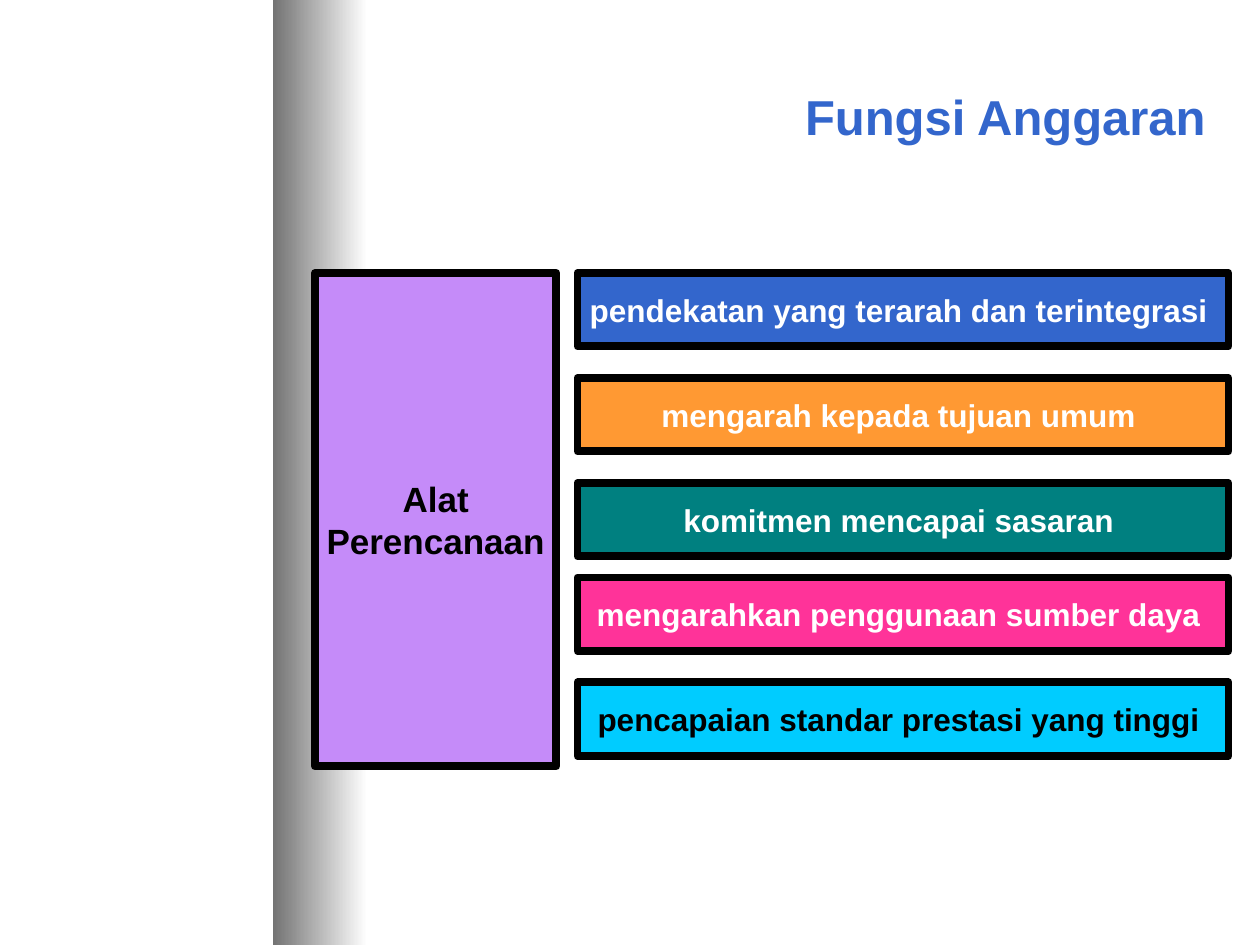
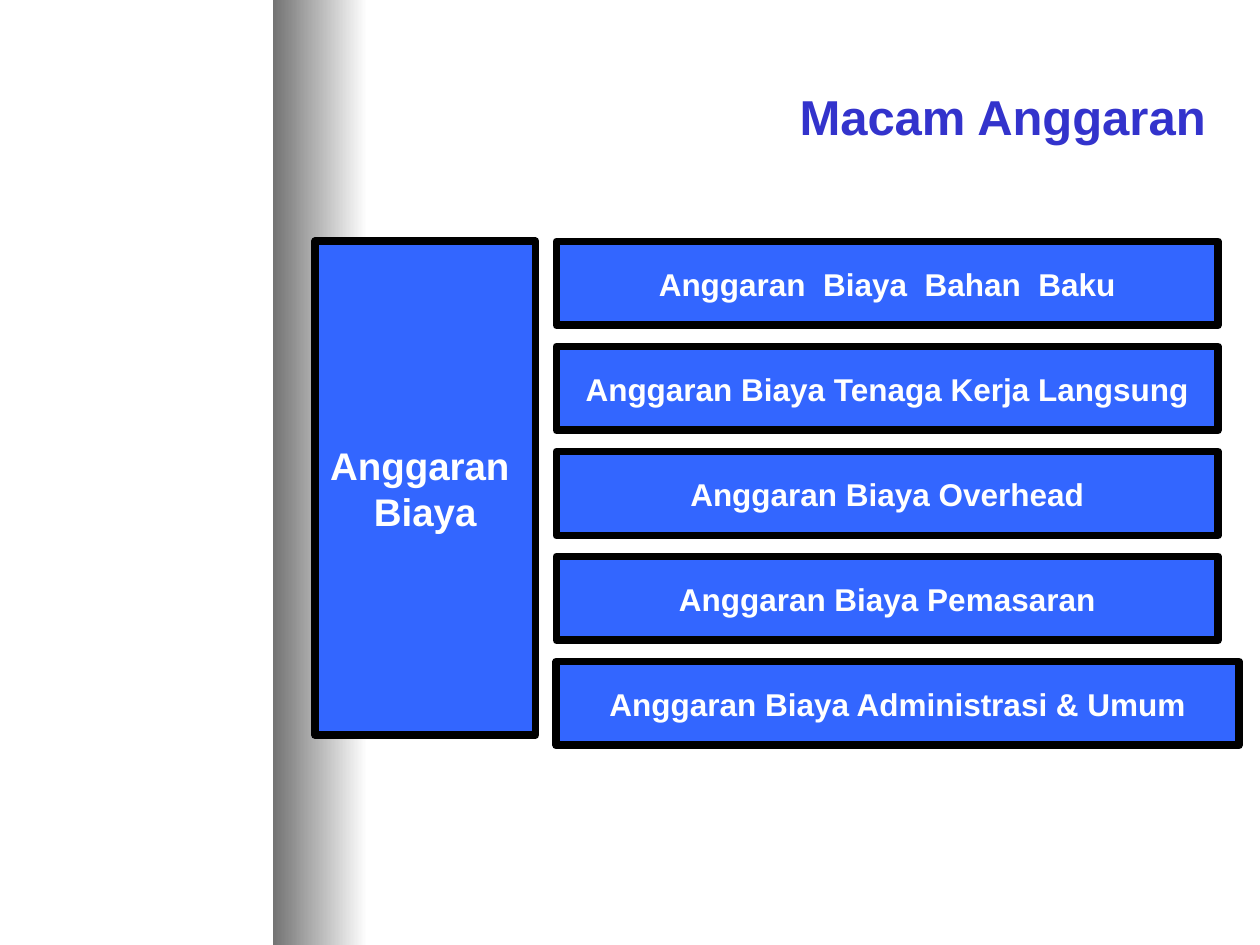
from dataclasses import dataclass

from pptx import Presentation
from pptx.dml.color import RGBColor
from pptx.enum.shapes import MSO_SHAPE
from pptx.enum.text import MSO_ANCHOR, PP_ALIGN
from pptx.util import Inches, Pt

RECTANGLE = MSO_SHAPE.RECTANGLE
MIDDLE = MSO_ANCHOR.MIDDLE
CENTER, RIGHT = PP_ALIGN.CENTER, PP_ALIGN.RIGHT
COLUMNS, ROWS = 120, 90


@dataclass(frozen=True)
class Theme:
    """Colours and type sizes shared by the slides."""
    font: str = "Arial"
    title_size: int = 28
    kind_size: int = 22
    tool_size: int = 20
    item_size: int = 18
    border_width: float = 4.5
    black: str = "000000"
    white: str = "FFFFFF"
    band_dark: str = "737373"
    blue: str = "3366CC"
    indigo: str = "3333CC"
    orange: str = "FF9933"
    teal: str = "008080"
    pink: str = "FF3399"
    cyan: str = "00CCFF"
    lilac: str = "C58BF9"
    bright_blue: str = "3366FF"


class Deck:
    """Draws styled elements on the current slide, on a grid of columns and rows."""

    def __init__(self, theme):
        self.theme = theme
        self.presentation = Presentation()
        self.presentation.slide_width = Inches(10)
        self.presentation.slide_height = Inches(7.5)
        self.slide = None

    def place(self, column, row, columns, rows):
        """Turn grid units into slide lengths."""
        across = self.presentation.slide_width / COLUMNS
        down = self.presentation.slide_height / ROWS
        return [round(n) for n in (column * across, row * down, columns * across, rows * down)]

    def set_lines(self, frame, lines, size, color, align, wrap):
        """Fill a text frame with one paragraph per line."""
        frame.word_wrap = wrap
        frame.vertical_anchor = MIDDLE
        for index, line in enumerate(lines):
            paragraph = frame.add_paragraph() if index else frame.paragraphs[0]
            paragraph.alignment = align
            run = paragraph.add_run()
            run.text = line
            run.font.name = self.theme.font
            run.font.size = Pt(size)
            run.font.bold = True
            run.font.color.rgb = RGBColor.from_string(color)

    def rectangle(self, cell):
        """Add a rectangle without a shadow."""
        shape = self.slide.shapes.add_shape(RECTANGLE, *self.place(*cell))
        shape.shadow.inherit = False
        return shape

    def band(self):
        """Add the vertical band that fades to white."""
        band = self.rectangle((26, 0, 9, ROWS))
        band.line.fill.background()
        band.fill.gradient()
        band.fill.gradient_angle = 0
        for stop, color in zip(band.fill.gradient_stops, (self.theme.band_dark, self.theme.white)):
            stop.color.rgb = RGBColor.from_string(color)

    def start(self, title, color):
        """Begin a slide with its band and title."""
        self.slide = self.presentation.slides.add_slide(self.presentation.slide_layouts[6])
        self.band()
        heading = self.slide.shapes.add_textbox(*self.place(32, 3, 84, 16))
        self.set_lines(heading.text_frame, [title], self.theme.title_size, color, RIGHT, True)

    def box(self, cell, lines, fill, color, size):
        """Add a bordered box with centred text."""
        box = self.rectangle(cell)
        box.fill.solid()
        box.fill.fore_color.rgb = RGBColor.from_string(fill)
        box.line.color.rgb = RGBColor.from_string(self.theme.black)
        box.line.width = Pt(self.theme.border_width)
        self.set_lines(box.text_frame, lines, size, color, CENTER, False)


def budget_functions(deck):
    """Build the slide on what a budget is for."""
    theme = deck.theme
    deck.start("Fungsi Anggaran", theme.blue)
    functions = [
        (26, "pendekatan yang terarah dan terintegrasi ", theme.blue, theme.white),
        (36, "mengarah kepada tujuan umum ", theme.orange, theme.white),
        (46, "komitmen mencapai sasaran ", theme.teal, theme.white),
        (55, "mengarahkan penggunaan sumber daya ", theme.pink, theme.white),
        (65, "pencapaian standar prestasi yang tinggi ", theme.cyan, theme.black),
    ]
    for row, function, fill, color in functions:
        deck.box((55, row, 62, 7), [function], fill, color, theme.item_size)
    planning_tool = ["Alat", "Perencanaan"]
    deck.box((30, 26, 23, 47), planning_tool, theme.lilac, theme.black, theme.tool_size)


def budget_kinds(deck):
    """Build the slide on the kinds of cost budget."""
    theme = deck.theme
    deck.start("Macam Anggaran", theme.indigo)
    cost_budget = ["Anggaran ", "Biaya"]
    deck.box((30, 23, 21, 47), cost_budget, theme.bright_blue, theme.white, theme.kind_size)
    budgets = [
        ("Anggaran  Biaya  Bahan  Baku", 63),
        ("Anggaran Biaya Tenaga Kerja Langsung", 63),
        ("Anggaran Biaya Overhead", 63),
        ("Anggaran Biaya Pemasaran", 63),
        ("Anggaran Biaya Administrasi & Umum", 65),
    ]
    for index, (budget, columns) in enumerate(budgets):
        cell = (53, 23 + 10 * index, columns, 8)
        deck.box(cell, [budget], theme.bright_blue, theme.white, theme.item_size)


def main():
    """Build and save both slides."""
    deck = Deck(Theme())
    budget_functions(deck)
    budget_kinds(deck)
    deck.presentation.save("out.pptx")


if __name__ == "__main__":
    main()
